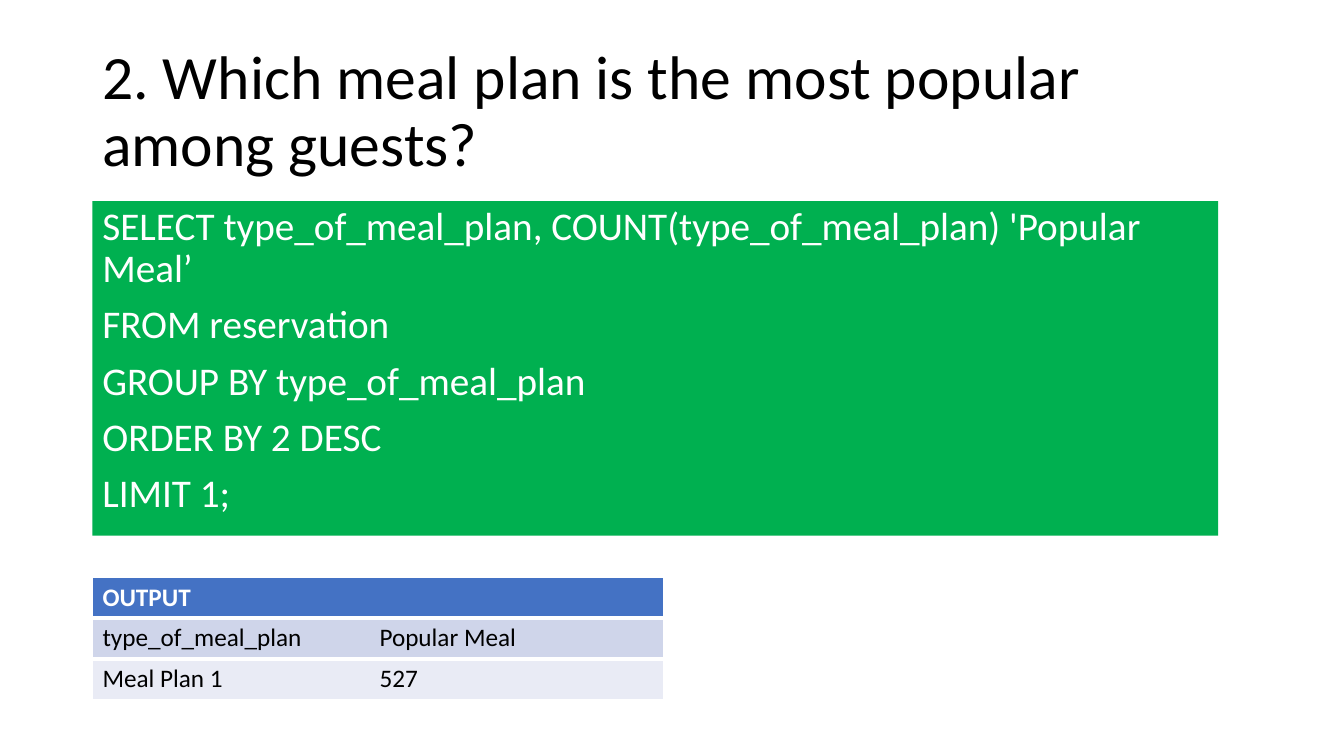
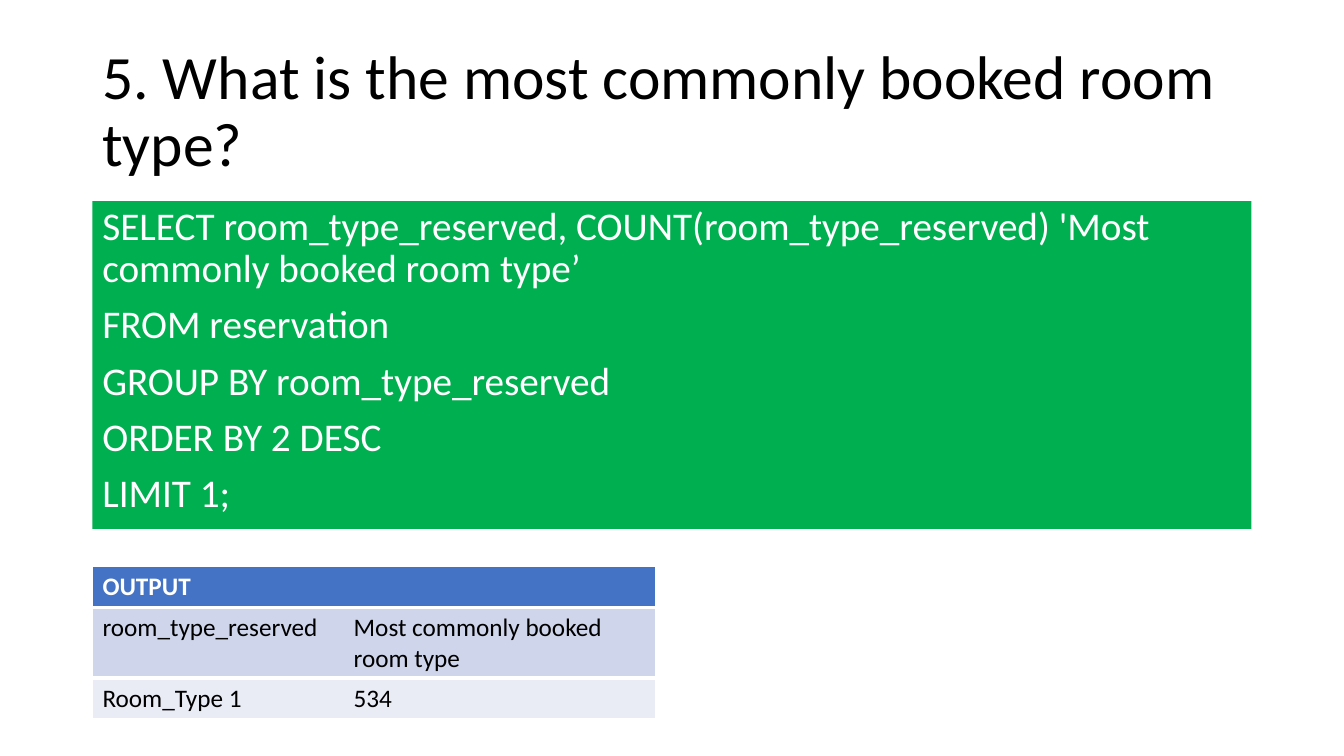
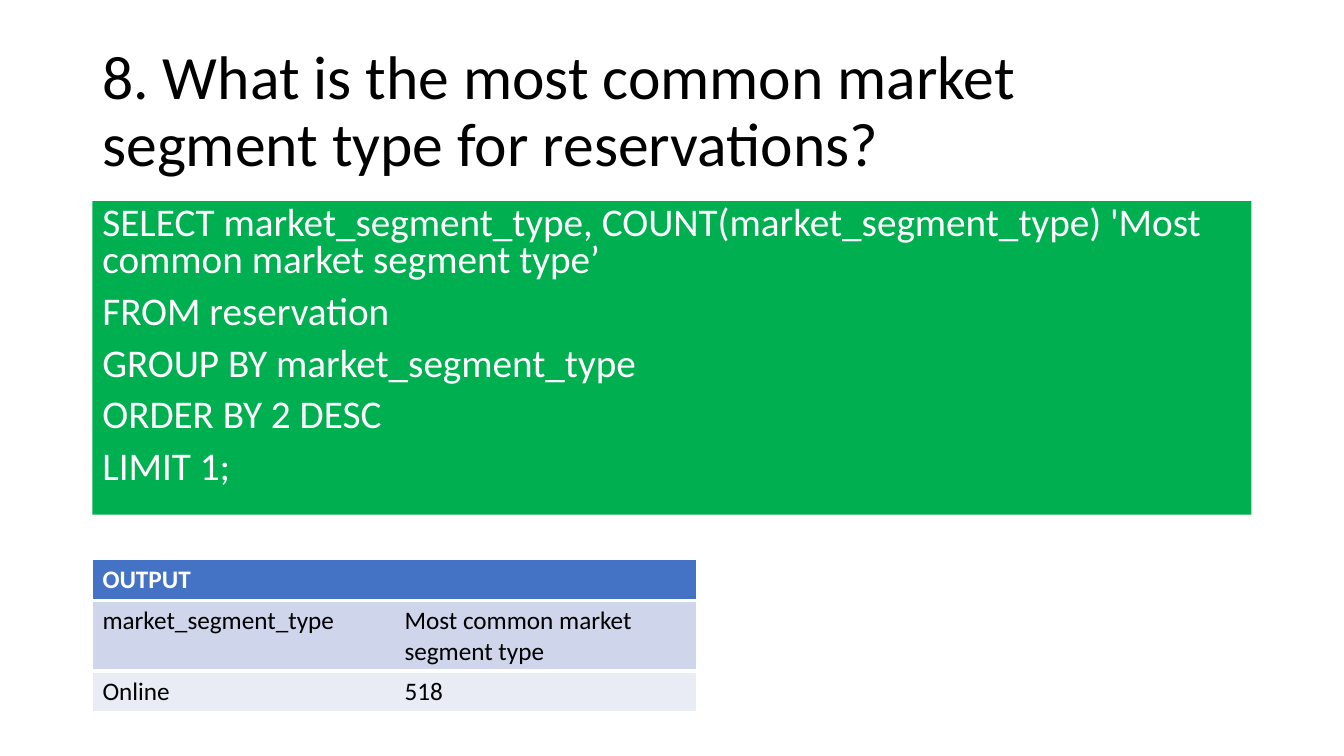
import pptx
import pptx.dml.color
import pptx.enum.shapes
import pptx.enum.text
import pptx.oxml
import pptx.oxml.ns
import pptx.util

Cm = pptx.util.Cm
Pt = pptx.util.Pt
RGBColor = pptx.dml.color.RGBColor

FONT = "Calibri"
BLACK = RGBColor(0x00, 0x00, 0x00)
WHITE = RGBColor(0xFF, 0xFF, 0xFF)
GREEN = RGBColor(0x00, 0xB0, 0x50)
HEADER_BLUE = RGBColor(0x44, 0x72, 0xC4)
BAND_DARK = RGBColor(0xCF, 0xD5, 0xEA)
BAND_LIGHT = RGBColor(0xE9, 0xEB, 0xF5)
ROW_FILLS = (HEADER_BLUE, BAND_DARK, BAND_LIGHT)

LEFT = Cm(2.33)
TITLE_TOP, TITLE_WIDTH, TITLE_HEIGHT = Cm(1.01), Cm(29.21), Cm(3.68)
QUERY_TOP = Cm(5.07)
ONE_LINE_ROW, TWO_LINE_ROW = Cm(1.03), Cm(1.75)
PLAIN_TABLE_STYLE = "{2D5ABB26-0587-4C30-8999-92F81FD0307C}"

QUESTIONS = [
    {
        "title": "2. Which meal plan is the most popular among guests?",
        "column": "type_of_meal_plan",
        "alias": "Popular Meal",
        "answer": ("Meal Plan 1", "527"),
        "query_size": (Cm(28.37), Cm(8.43)),
        "line_spacing": 0.9,
        "table_top": Cm(14.54),
        "column_widths": (Cm(6.98), Cm(7.41)),
        "label_height": ONE_LINE_ROW,
    },
    {
        "title": "5. What is the most commonly booked room type?",
        "column": "room_type_reserved",
        "alias": "Most commonly booked room type",
        "answer": ("Room_Type 1", "534"),
        "query_size": (Cm(29.21), Cm(8.26)),
        "line_spacing": 0.9,
        "table_top": Cm(14.28),
        "column_widths": (Cm(6.33), Cm(7.87)),
        "label_height": TWO_LINE_ROW,
    },
    {
        "title": "8. What is the most common market segment type for reservations?",
        "column": "market_segment_type",
        "alias": "Most common market segment type",
        "answer": ("Online", "518"),
        "query_size": (Cm(29.21), Cm(7.9)),
        "line_spacing": 0.8,
        "table_top": Cm(14.1),
        "column_widths": (Cm(7.61), Cm(7.61)),
        "label_height": TWO_LINE_ROW,
    },
]


def query_lines(column, alias):
    return [
        f"SELECT {column}, COUNT({column}) '{alias}’",
        "FROM reservation",
        f"GROUP BY {column}",
        "ORDER BY 2 DESC",
        "LIMIT 1;",
    ]


def format_text(frame, size, color, bold=False):
    for para in frame.paragraphs:
        for span in para.runs:
            span.font.name = FONT
            span.font.size = Pt(size)
            span.font.bold = bold
            span.font.color.rgb = color


def add_title(slide, text):
    box = slide.shapes.add_textbox(LEFT, TITLE_TOP, TITLE_WIDTH, TITLE_HEIGHT)
    frame = box.text_frame
    frame.word_wrap = True
    frame.vertical_anchor = pptx.enum.text.MSO_ANCHOR.MIDDLE
    frame.text = text
    frame.paragraphs[0].line_spacing = 0.9
    format_text(frame, 44, BLACK)


def add_query(slide, lines, size, line_spacing):
    box = slide.shapes.add_shape(
        pptx.enum.shapes.MSO_SHAPE.RECTANGLE, LEFT, QUERY_TOP, *size)
    box.shadow.inherit = False
    box.fill.solid()
    box.fill.fore_color.rgb = GREEN
    box.line.fill.background()
    frame = box.text_frame
    frame.word_wrap = True
    frame.vertical_anchor = pptx.enum.text.MSO_ANCHOR.TOP
    frame.text = "\n".join(lines)
    for para in frame.paragraphs:
        para.alignment = pptx.enum.text.PP_ALIGN.LEFT
        para.line_spacing = line_spacing
        para.space_before = Pt(10)
    format_text(frame, 28, WHITE)


def set_border(cell, side, points):
    """Draw a white line on one side (L, R, T or B) of a cell."""
    cell_properties = cell._tc.get_or_add_tcPr()
    cell_properties.append(pptx.oxml.parse_xml(
        f'<a:ln{side} {pptx.oxml.ns.nsdecls("a")} w="{Pt(points)}">'
        f'<a:solidFill><a:srgbClr val="{WHITE}"/></a:solidFill></a:ln{side}>'))


def add_output(slide, rows, top, column_widths, row_heights):
    table_frame = slide.shapes.add_table(
        len(rows), len(column_widths), LEFT, top,
        sum(column_widths), sum(row_heights))
    table = table_frame.table
    table._tbl.tblPr.find(pptx.oxml.ns.qn("a:tableStyleId")).text = PLAIN_TABLE_STYLE
    for column, width in zip(table.columns, column_widths):
        column.width = width
    last_row = len(rows) - 1
    for r, (texts, height, fill) in enumerate(zip(rows, row_heights, ROW_FILLS)):
        table.rows[r].height = height
        for c, text in enumerate(texts):
            cell = table.cell(r, c)
            set_border(cell, "L" if c == 0 else "R", 1)
            if r == 0:
                set_border(cell, "T", 1)
                set_border(cell, "B", 3)
            elif r == 1:
                set_border(cell, "T", 3)
            elif r == last_row:
                set_border(cell, "B", 1)
            cell.fill.solid()
            cell.fill.fore_color.rgb = fill
            cell.text_frame.text = text
            format_text(cell.text_frame, 18, WHITE if r == 0 else BLACK, r == 0)


def main():
    deck = pptx.Presentation()
    deck.slide_width, deck.slide_height = Cm(33.87), Cm(19.05)
    blank = deck.slide_layouts[6]
    for question in QUESTIONS:
        slide = deck.slides.add_slide(blank)
        column, alias = question["column"], question["alias"]
        add_title(slide, question["title"])
        add_query(slide, query_lines(column, alias),
                  question["query_size"], question["line_spacing"])
        add_output(slide, [("OUTPUT", ""), (column, alias), question["answer"]],
                   question["table_top"], question["column_widths"],
                   (ONE_LINE_ROW, question["label_height"], ONE_LINE_ROW))
    deck.save("out.pptx")


if __name__ == "__main__":
    main()
